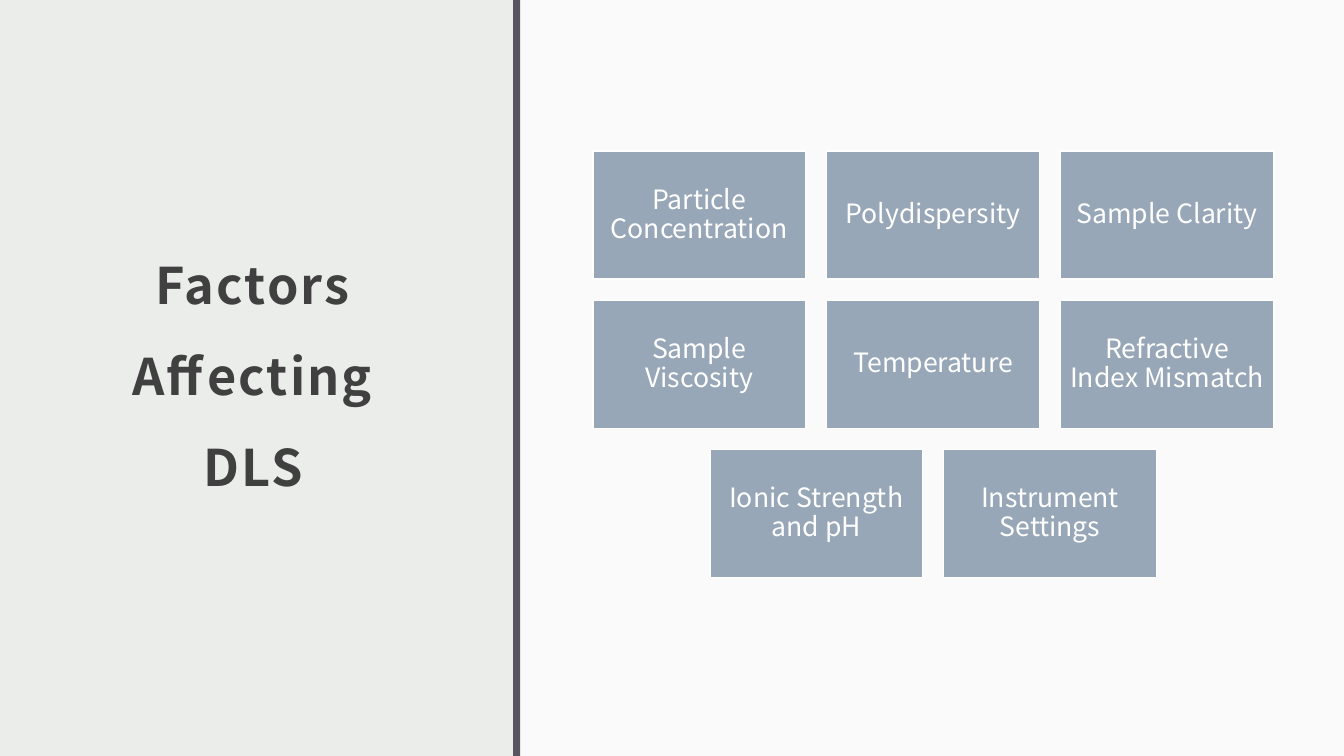
from lxml import etree
from pptx import Presentation
from pptx.dml.color import RGBColor
from pptx.enum.shapes import MSO_SHAPE
from pptx.enum.text import MSO_ANCHOR, MSO_AUTO_SIZE, PP_ALIGN
from pptx.oxml.ns import qn
from pptx.util import Inches, Pt

RECTANGLE = MSO_SHAPE.RECTANGLE
MIDDLE = MSO_ANCHOR.MIDDLE
CENTER = PP_ALIGN.CENTER
NO_AUTOFIT = MSO_AUTO_SIZE.NONE

BACKGROUND = RGBColor(0xEB, 0xED, 0xEB)
WHITE = RGBColor(0xFF, 0xFF, 0xFF)
DIVIDER = RGBColor(0x59, 0x54, 0x60)
TITLE_GRAY = RGBColor(0x40, 0x40, 0x40)
FACTOR_BLUE = RGBColor(0x97, 0xA7, 0xB8)

FONT = "Noto Sans CJK JP"
SLIDE_WIDTH, SLIDE_HEIGHT = 13.33, 7.5
TITLE_ONLY_LAYOUT = 5

FACTOR_ROWS = [
    ["Particle Concentration", "Polydispersity", "Sample Clarity"],
    ["Sample Viscosity", "Temperature", "Refractive Index Mismatch"],
    ["Ionic Strength and pH", "Instrument Settings"],
]
GRID_CENTER, GRID_TOP = 9.255, 1.5
BOX_WIDTH, BOX_HEIGHT, BOX_GAP = 2.11, 1.27, 0.21


def write_text(frame, text, *, size, color, inset, line_spacing,
               bold=False, letter_spacing=None, space_after=0):
    """Fill a text frame with one centred paragraph."""
    frame.word_wrap = True
    frame.auto_size = NO_AUTOFIT
    frame.vertical_anchor = MIDDLE
    frame.margin_left = frame.margin_right = Inches(inset)
    frame.margin_top = frame.margin_bottom = Inches(inset)
    paragraph = frame.paragraphs[0]
    paragraph.alignment = CENTER
    paragraph.line_spacing = line_spacing
    paragraph.space_after = Pt(space_after)
    run = paragraph.add_run()
    run.text = text
    run.font.name = FONT
    run.font.size = Pt(size)
    run.font.bold = bold
    run.font.color.rgb = color
    if letter_spacing:
        run.font._element.set("spc", str(int(letter_spacing * 100)))


class SlideBuilder:
    def __init__(self, slide):
        self.slide = slide
        fill = slide.background.fill
        fill.solid()
        fill.fore_color.rgb = BACKGROUND

    def rectangle(self, left, top, width, height, color, *, outline=None, opacity=100):
        shape = self.slide.shapes.add_shape(
            RECTANGLE, Inches(left), Inches(top), Inches(width), Inches(height))
        shape.shadow.inherit = False
        shape.fill.solid()
        shape.fill.fore_color.rgb = color
        if opacity < 100:
            color_element = shape._element.spPr.find(qn("a:solidFill"))[0]
            etree.SubElement(color_element, qn("a:alpha")).set("val", str(opacity * 1000))
        if outline is None:
            shape.line.fill.background()
        else:
            shape.line.color.rgb = outline
            shape.line.width = Pt(1)
        return shape

    def title(self, text, left, top, width, height):
        title = self.slide.shapes.title
        title.left, title.top = Inches(left), Inches(top)
        title.width, title.height = Inches(width), Inches(height)
        write_text(title.text_frame, text, size=36, color=TITLE_GRAY, inset=0.12,
                   line_spacing=1.5, bold=True, letter_spacing=1.5)

    def factor(self, text, left, top):
        shape = self.rectangle(left, top, BOX_WIDTH, BOX_HEIGHT, FACTOR_BLUE, outline=WHITE)
        write_text(shape.text_frame, text, size=19, color=WHITE, inset=0.08,
                   line_spacing=0.9, space_after=6.65)

    def factor_grid(self, rows):
        """Place the boxes row by row, each row centred."""
        for row_index, row in enumerate(rows):
            row_width = len(row) * (BOX_WIDTH + BOX_GAP) - BOX_GAP
            row_left = GRID_CENTER - row_width / 2
            top = GRID_TOP + row_index * (BOX_HEIGHT + BOX_GAP)
            for column, text in enumerate(row):
                self.factor(text, row_left + column * (BOX_WIDTH + BOX_GAP), top)


def main():
    presentation = Presentation()
    presentation.slide_width = Inches(SLIDE_WIDTH)
    presentation.slide_height = Inches(SLIDE_HEIGHT)
    layout = presentation.slide_layouts[TITLE_ONLY_LAYOUT]
    builder = SlideBuilder(presentation.slides.add_slide(layout))

    # Right panel and divider
    builder.rectangle(5.16, 0, 8.17, SLIDE_HEIGHT, WHITE, opacity=75)
    builder.rectangle(5.09, 0, 0.07, SLIDE_HEIGHT, DIVIDER)

    # Title on the left
    builder.title("Factors Affecting DLS", 0.65, 1.63, 3.73, 3.89)

    # Factor boxes
    builder.factor_grid(FACTOR_ROWS)

    presentation.save("out.pptx")


if __name__ == "__main__":
    main()
